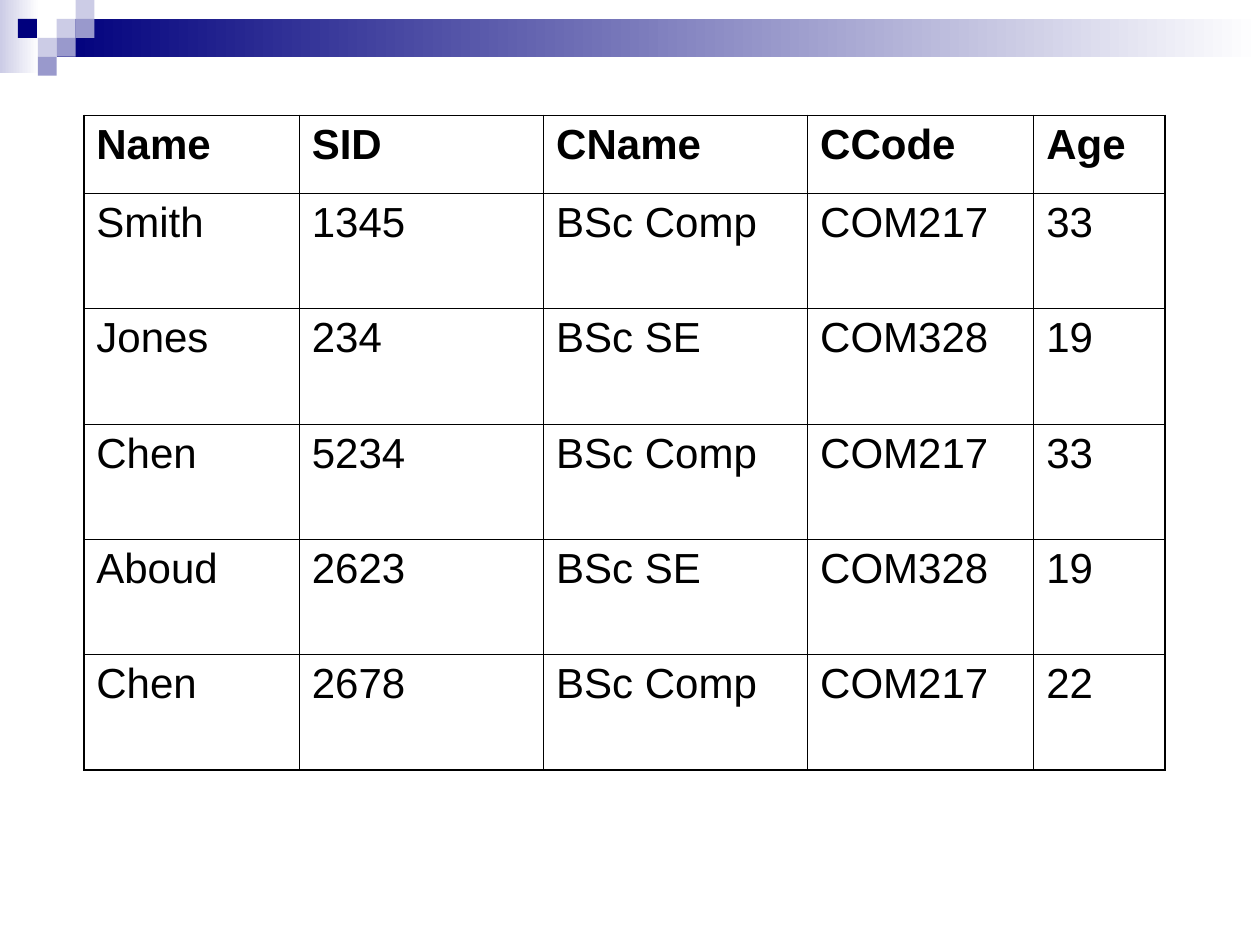
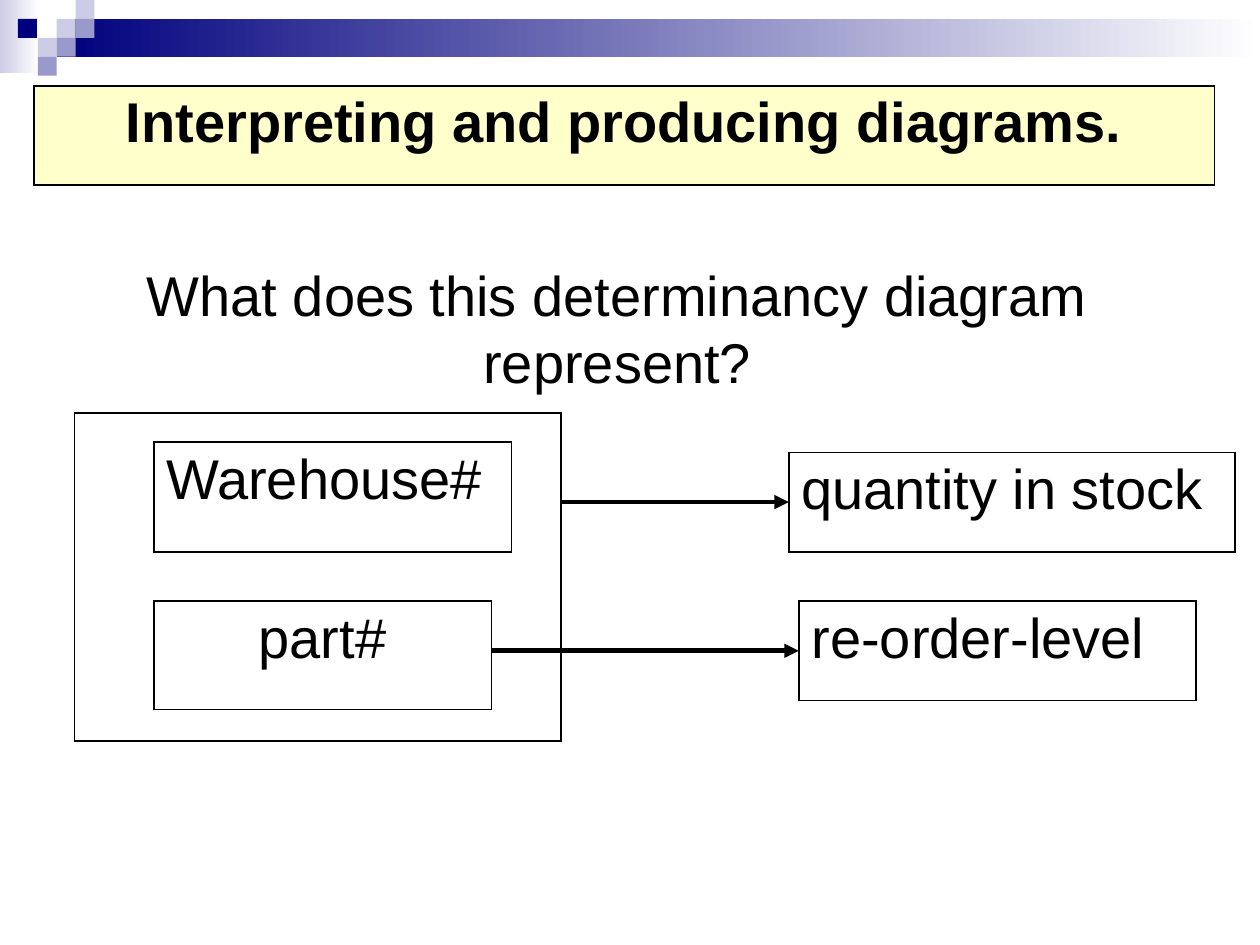
from typing import NamedTuple, Optional
from lxml.etree import SubElement
from pptx import Presentation
from pptx.dml.color import RGBColor
from pptx.enum.shapes import MSO_CONNECTOR, MSO_SHAPE
from pptx.enum.text import PP_ALIGN
from pptx.oxml import parse_xml
from pptx.oxml.ns import nsdecls, qn
from pptx.util import Inches, Pt

WIDTH, HEIGHT = Inches(10), Inches(7.5)
GRID = WIDTH // 100
TILE = 1.5
FONT = "Arial"
BLACK, NAVY, MID, PALE, WHITE, CREAM = (
    "000000", "00007D", "9999CC", "CCCCE6", "FFFFFF", "FFFFCC")
THIN, RIM, FRAME, ARROW = 0.45, 0.96, 1.08, 2.75


class Box(NamedTuple):
    """A place on the slide, in grid columns and rows."""
    left: float
    top: float
    width: float
    height: float

    @property
    def right(self) -> float:
        return self.left + self.width

    @property
    def middle(self) -> float:
        return self.top + self.height / 2


class Tile(NamedTuple):
    """A header block, placed in tile units, fading if it has an end colour."""
    col: float
    row: float
    fill: str
    end: Optional[str] = None
    wide: float = 1
    high: float = 1


class Label(NamedTuple):
    """A framed box with one text."""
    box: Box
    text: str = ""
    align: PP_ALIGN = PP_ALIGN.LEFT
    bold: bool = False
    fill: Optional[str] = None


TILES = [
    Tile(0, 0, PALE, WHITE, 2.07, 3.87),
    Tile(3, 1, NAVY, WHITE, 63.67, 2),
    Tile(3, 1, PALE),
    Tile(4, 0, PALE),
    Tile(4, 1, MID),
    Tile(2, 2, PALE),
    Tile(0.95, 1, NAVY),
    Tile(3, 2, MID),
    Tile(2, 3, MID),
]

ROWS = [
    ("Name", "SID", "CName", "CCode", "Age"),
    ("Smith", "1345\t", "BSc Comp", "COM217", "33"),
    ("Jones", "234", "BSc SE", "COM328", "19"),
    ("Chen", "5234", "BSc Comp", "COM217", "33"),
    ("Aboud", "2623", "BSc SE", "COM328", "19"),
    ("Chen", "2678", "BSc Comp", "COM217", "22"),
]
COLS = [17.1, 19.4, 20.95, 17.95, 10.4]
HEIGHTS = [6.2] + [9.15] * 5

TITLE = Label(Box(2.7, 6.8, 93.7, 7.9), "Interpreting and producing diagrams.",
              PP_ALIGN.CENTER, True, CREAM)
QUERY = Box(0, 20.2, 98, 11.7)
GROUP = Label(Box(5.9, 32.8, 38.6, 26))
STORE = Label(Box(12.2, 35.1, 28.4, 8.7), "Warehouse#")
PART = Label(Box(12.2, 47.7, 26.8, 8.6), "part#", PP_ALIGN.CENTER)
STOCK = Label(Box(62.6, 35.9, 35.4, 7.9), "quantity in stock")
LEVEL = Label(Box(63.4, 47.7, 31.5, 7.9), "re-order-level")
LABELS = [GROUP, STORE, PART, STOCK, LEVEL]
LINKS = [(GROUP, STOCK), (PART, LEVEL)]


def emu(*cells: float) -> list:
    """Turn grid cells into slide lengths."""
    return [round(cell * GRID) for cell in cells]


def color(code: str) -> RGBColor:
    """Turn a hex string into a colour."""
    return RGBColor.from_string(code)


def write(frame, text: str, size: float, align=PP_ALIGN.LEFT, bold=False) -> None:
    """Put one styled paragraph in a text frame."""
    frame.text = text
    para = frame.paragraphs[0]
    para.alignment = align
    font = para.font
    font.name, font.size, font.bold = FONT, Pt(size), bold
    font.color.rgb = color(BLACK)


def edge(cell, sides: dict) -> None:
    """Draw the borders of a cell, given their widths by side."""
    props = cell._tc.get_or_add_tcPr()
    for spot, side in enumerate("LRTB"):
        props.insert(spot, parse_xml(
            f'<a:ln{side} {nsdecls("a")} w="{Pt(sides[side])}"><a:solidFill>'
            f'<a:srgbClr val="{BLACK}"/></a:solidFill></a:ln{side}>'))


def paint(fill, code: str) -> None:
    """Fill a shape or cell with one colour."""
    fill.solid()
    fill.fore_color.rgb = color(code)


def grid(slide, left: float, top: float, cols: list, rows: list):
    """Add a plain table with the given column widths and row heights."""
    place = emu(left, top, sum(cols), sum(rows))
    table = slide.shapes.add_table(len(rows), len(cols), *place).table
    table.first_row = table.horz_banding = False
    for col, width in zip(table.columns, emu(*cols)):
        col.width = width
    for row, height in zip(table.rows, emu(*rows)):
        row.height = height
    for cell in table.iter_cells():
        cell.fill.background()
    return table


def band(deck, slide) -> None:
    """Build the header blocks and hand them to the slide master."""
    group = slide.shapes.add_group_shape()
    for tile in TILES:
        place = emu(*(TILE * n for n in (tile.col, tile.row, tile.wide, tile.high)))
        shape = group.shapes.add_shape(MSO_SHAPE.RECTANGLE, *place)
        shape.shadow.inherit = False
        shape.line.fill.background()
        if tile.end:
            shape.fill.gradient()
            shape.fill.gradient_angle = 0
            for stop, code in zip(shape.fill.gradient_stops, (tile.fill, tile.end)):
                stop.color.rgb = color(code)
        else:
            paint(shape.fill, tile.fill)
    for count, props in enumerate(group.element.iter(qn("p:cNvPr")), 100):
        props.set("id", str(count))
    deck.slide_master.shapes.element.insert(2, group.element)


def records(slide) -> None:
    """Draw the table of student records."""
    table = grid(slide, 6.65, 9.15, COLS, HEIGHTS)
    last, end = len(ROWS) - 1, len(COLS) - 1
    for r, row in enumerate(ROWS):
        for c, text in enumerate(row):
            cell = table.cell(r, c)
            write(cell.text_frame, text, 24, bold=r == 0)
            edge(cell, {
                "L": RIM if c == 0 else THIN,
                "R": RIM if c == end else THIN,
                "T": RIM if r in (0, 1) else THIN,
                "B": RIM if r in (0, last) else THIN,
            })


def framed(slide, label: Label) -> None:
    """Draw a label as a table of one cell."""
    box = label.box
    cell = grid(slide, box.left, box.top, [box.width], [box.height]).cell(0, 0)
    if label.fill:
        paint(cell.fill, label.fill)
    edge(cell, dict.fromkeys("LRTB", FRAME))
    if label.text:
        write(cell.text_frame, label.text, 32, label.align, label.bold)


def arrow(slide, start: Box, goal: Box) -> None:
    """Draw a level arrow between two boxes at the goal's middle."""
    ends = emu(start.right, goal.middle, goal.left, goal.middle)
    link = slide.shapes.add_connector(MSO_CONNECTOR.STRAIGHT, *ends)
    link.line.color.rgb = color(BLACK)
    link.line.width = Pt(ARROW)
    SubElement(link.line._get_or_add_ln(), qn("a:tailEnd"), type="triangle")
    SubElement(link.element.spPr, qn("a:effectLst"))


def diagram(slide) -> None:
    """Draw the heading, the question and its determinancy diagram."""
    framed(slide, TITLE)
    frame = slide.shapes.add_textbox(*emu(*QUERY)).text_frame
    frame.word_wrap = True
    query = "What does this determinancy diagram represent?"
    write(frame, query, 32, PP_ALIGN.CENTER)
    for label in LABELS:
        framed(slide, label)
    for start, goal in LINKS:
        arrow(slide, start.box, goal.box)


def main() -> None:
    """Build and save the slides."""
    deck = Presentation()
    deck.slide_width, deck.slide_height = WIDTH, HEIGHT
    blank = deck.slide_layouts.get_by_name("Blank")
    first, second = (deck.slides.add_slide(blank) for _ in range(2))
    band(deck, first)
    records(first)
    diagram(second)
    deck.save("out.pptx")


if __name__ == "__main__":
    main()
